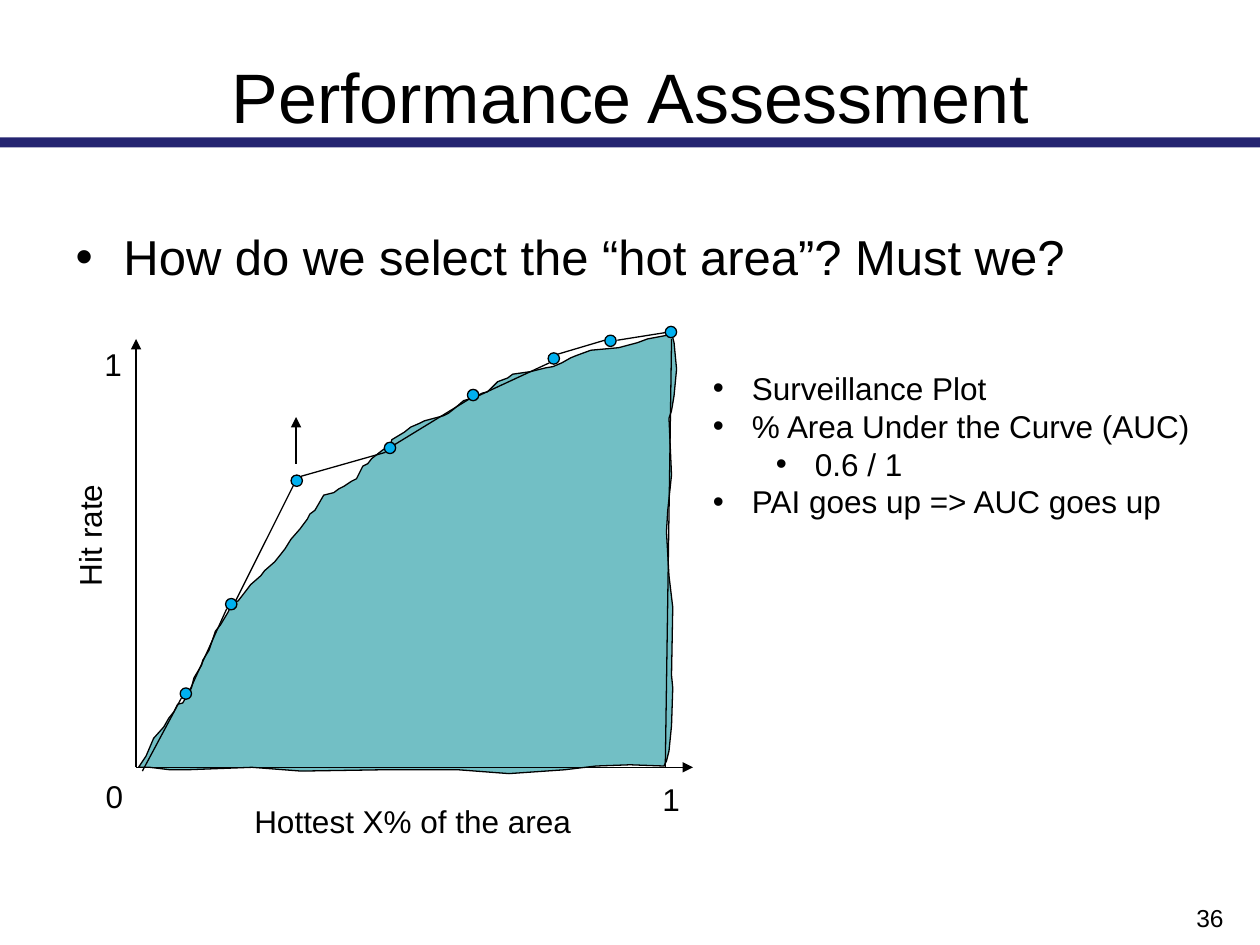
from itertools import pairwise

from lxml import etree
from pptx import Presentation
from pptx.dml.color import RGBColor
from pptx.enum import shapes, text
from pptx.oxml import ns
from pptx.util import Inches, Pt

COLORS = {"ink": "000000", "bar": "252571", "area": "72BFC5", "marker": "00B0F0"}
FONT = "Arial"
MARKER_SIZE = 0.09

AREA_OUTLINE = [
    (1.1, 6.09), (1.16, 6), (1.22, 5.86), (1.3, 5.77), (1.34, 5.7), (1.38, 5.65),
    (1.41, 5.59), (1.45, 5.58), (1.48, 5.53), (1.52, 5.46), (1.54, 5.38), (1.6, 5.28),
    (1.61, 5.24), (1.66, 5.16), (1.71, 5.01), (1.75, 4.96), (1.81, 4.86), (1.85, 4.78),
    (1.89, 4.77), (1.96, 4.68), (1.99, 4.64), (2.07, 4.57), (2.1, 4.53), (2.18, 4.46),
    (2.26, 4.36), (2.31, 4.28), (2.38, 4.2), (2.44, 4.12), (2.46, 4.08), (2.5, 4.05),
    (2.57, 3.93), (2.65, 3.91), (2.69, 3.88), (2.73, 3.86), (2.79, 3.82), (2.83, 3.8),
    (2.88, 3.7), (2.92, 3.68), (2.95, 3.64), (3.04, 3.57), (3.1, 3.53), (3.11, 3.49),
    (3.21, 3.43), (3.26, 3.39), (3.33, 3.36), (3.37, 3.34), (3.52, 3.3), (3.56, 3.28),
    (3.61, 3.24), (3.68, 3.18), (3.75, 3.16), (3.83, 3.12), (3.87, 3.11), (3.95, 3.03),
    (4.03, 3), (4.07, 2.97), (4.21, 2.95), (4.33, 2.92), (4.39, 2.91), (4.46, 2.88),
    (4.53, 2.84), (4.58, 2.82), (4.69, 2.78), (4.91, 2.76), (5.06, 2.72), (5.14, 2.69),
    (5.3, 2.66), (5.34, 2.68), (5.35, 2.72), (5.37, 2.93), (5.35, 3.14), (5.33, 3.26),
    (5.31, 3.32), (5.33, 3.77), (5.3, 4.05), (5.29, 4.22), (5.31, 4.57), (5.34, 4.82),
    (5.33, 5.36), (5.34, 5.46), (5.33, 5.76), (5.31, 5.96), (5.29, 6.04), (5.27, 6.08),
    (5, 6.07), (4.73, 6.08), (4.48, 6.11), (4.04, 6.14), (3.64, 6.11), (3.03, 6.11),
    (2.39, 6.12), (2, 6.09), (1.48, 6.11), (1.35, 6.11), (1.19, 6.09),
]
MARKERS = [
    (1.43, 5.46), (1.79, 4.75), (2.31, 3.77), (3.05, 3.51),
    (3.71, 3.09), (4.35, 2.8), (4.8, 2.66), (5.28, 2.59),
]
AXES = [((1.08, 6.09), (5.5, 6.09)), ((1.08, 6.09), (1.08, 2.69))]
CURVE = [
    ((5.28, 2.64), (4.9, 2.7)), ((4.8, 2.7), (4.43, 2.81)),
    ((4.36, 2.88), (3.8, 3.14)), ((3.72, 3.17), (3.13, 3.53)),
    ((3.06, 3.59), (2.39, 3.78)), ((2.33, 3.85), (1.87, 4.77)),
    ((1.8, 4.83), (1.51, 5.47)), ((1.44, 5.54), (1.13, 6.12)),
    ((5.33, 2.69), (5.28, 6.09)),
]
LABELS = [
    ("Hottest X% of the area", (1.92, 6.32, 2.74, 0.4), 0),
    ("Hit rate", (0.2, 4.04, 1.02, 0.4), 270),
    ("1", (0.73, 2.69, 0.34, 0.4), 0),
    ("1", (5.16, 6.14, 0.34, 0.4), 0),
    ("0", (0.74, 6.12, 0.34, 0.4), 0),
]
NOTES = [
    ("Surveillance Plot", 0), ("% Area Under the Curve (AUC)", 0),
    ("0.6 / 1", 1), ("PAI goes up => AUC goes up", 0),
]


def color(name):
    return RGBColor.from_string(COLORS[name])


def inches(values):
    return [Inches(value) for value in values]


def place(box, frame):
    box.left, box.top, box.width, box.height = inches(frame)


def add_span(para, words, size):
    span = para.add_run()
    span.text = words
    span.font.name = FONT
    span.font.size = Pt(size)
    span.font.color.rgb = color("ink")


def set_bullet(para, margin, hang):
    properties = para._p.get_or_add_pPr()
    properties.set("marL", str(Inches(margin)))
    properties.set("indent", str(-Inches(hang)))
    etree.SubElement(properties, ns.qn("a:buFont"), typeface=FONT)
    etree.SubElement(properties, ns.qn("a:buChar"), char="•")


def style_shape(shape, fill, outlined=True):
    shape.shadow.inherit = False
    shape.fill.solid()
    shape.fill.fore_color.rgb = color(fill)
    if outlined:
        shape.line.color.rgb = color("ink")
        shape.line.width = Pt(0.75)
    else:
        shape.line.fill.background()


def add_preset(page, kind, frame, fill, outlined=True):
    shape = page.shapes.add_shape(kind, *inches(frame))
    style_shape(shape, fill, outlined)


def add_line(page, start, end, arrow=False):
    line = page.shapes.add_connector(
        shapes.MSO_CONNECTOR.STRAIGHT, *inches(start + end))
    line.line.color.rgb = color("ink")
    line.line.width = Pt(0.75)
    if arrow:
        etree.SubElement(line.line._get_or_add_ln(), ns.qn("a:tailEnd"), type="triangle")
    etree.SubElement(line._element.spPr, ns.qn("a:effectLst"))


def add_label(page, words, frame, rotation=0, size=18, align=text.PP_ALIGN.LEFT):
    box = page.shapes.add_textbox(*inches(frame))
    box.rotation = rotation
    box.text_frame.word_wrap = align == text.PP_ALIGN.RIGHT
    para = box.text_frame.paragraphs[0]
    para.alignment = align
    add_span(para, words, size)


def add_notes(page, frame):
    box = page.shapes.add_textbox(*inches(frame))
    box.text_frame.word_wrap = True
    for index, (words, level) in enumerate(NOTES):
        para = box.text_frame.add_paragraph() if index else box.text_frame.paragraphs[0]
        para.level = level
        set_bullet(para, 0.31 + 0.5 * level, 0.31)
        add_span(para, words, 18)


def fill_title(page):
    title = page.shapes.title
    place(title, (0.5, 0.13, 9, 1.25))
    title.text_frame.vertical_anchor = text.MSO_ANCHOR.MIDDLE
    para = title.text_frame.paragraphs[0]
    para.alignment = text.PP_ALIGN.CENTER
    add_span(para, "Performance Assessment", 40)


def fill_body(page):
    body = page.placeholders[1]
    place(body, (0.5, 1.75, 9, 5.25))
    para = body.text_frame.paragraphs[0]
    para.space_before = Pt(0)
    set_bullet(para, 0.38, 0.38)
    add_span(para, "How do we select the “hot area”? Must we?", 28)


def add_area(page):
    start, *rest = [tuple(inches(point)) for point in AREA_OUTLINE]
    builder = page.shapes.build_freeform(*start)
    builder.add_line_segments(rest, close=True)
    style_shape(builder.convert_to_shape(), "area")


def add_plot(page):
    add_area(page)
    for start, end in AXES:
        add_line(page, start, end, arrow=True)
    for left, top in MARKERS:
        add_preset(page, shapes.MSO_SHAPE.OVAL,
                   (left, top, MARKER_SIZE, MARKER_SIZE), "marker")
    for start, end in CURVE:
        add_line(page, start, end)
    add_line(page, (2.35, 3.68), (2.35, 3.31), arrow=True)


def main():
    deck = Presentation()
    deck.slide_width, deck.slide_height = inches((10, 7.5))
    page = deck.slides.add_slide(deck.slide_layouts[1])
    add_preset(page, shapes.MSO_SHAPE.RECTANGLE, (0, 1.09, 10, 0.08), "bar", outlined=False)
    fill_title(page)
    fill_body(page)
    add_label(page, "36", (7.48, 7.12, 2.33, 0.52), size=14, align=text.PP_ALIGN.RIGHT)
    for words, frame, rotation in LABELS:
        add_label(page, words, frame, rotation)
    add_plot(page)
    add_notes(page, (5.56, 2.88, 4.32, 1.31))
    deck.save("out.pptx")


if __name__ == "__main__":
    main()
